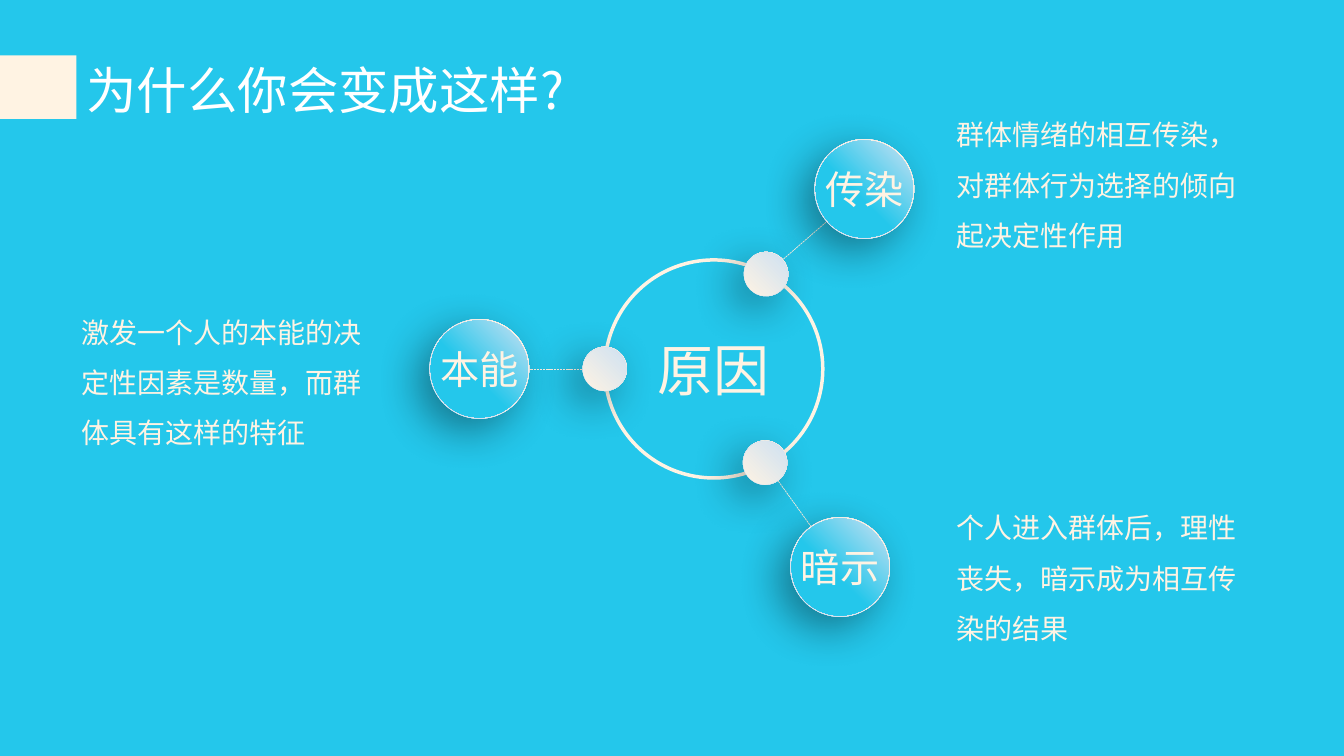
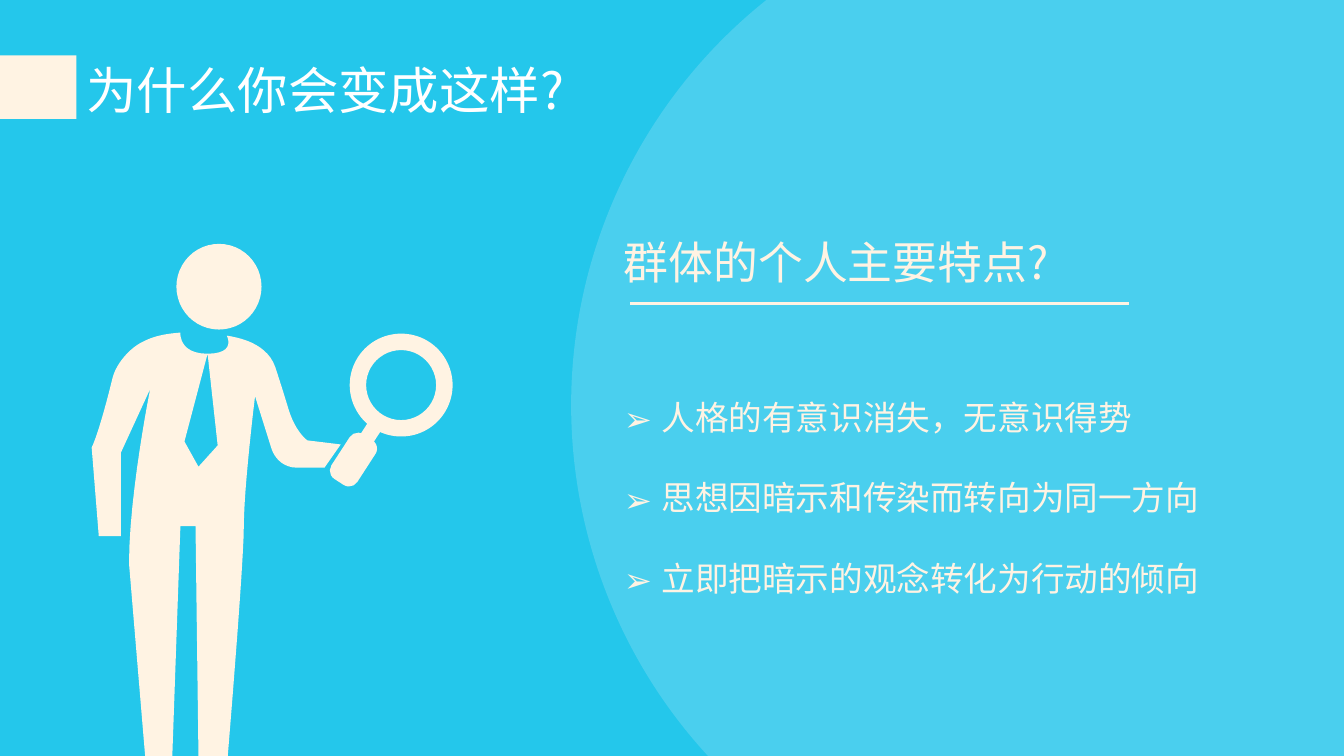
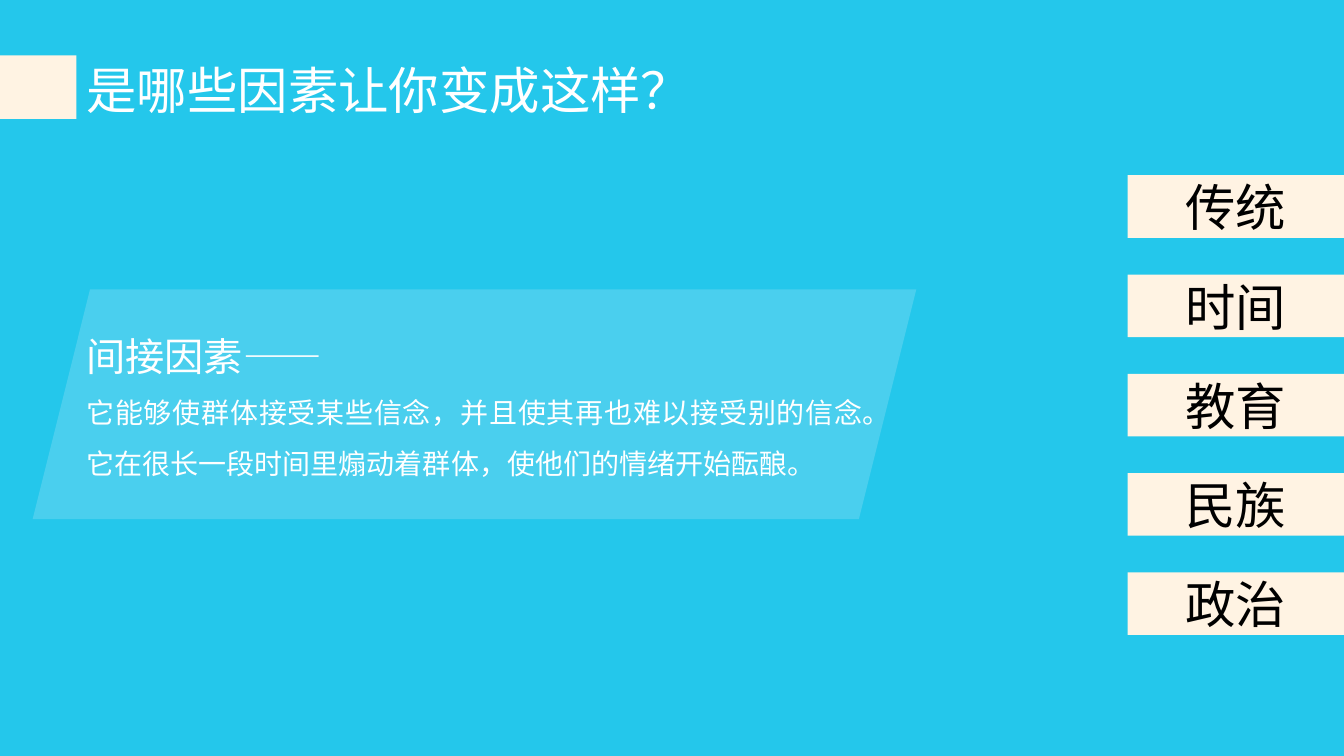
from lxml import etree
from pptx import Presentation
from pptx.dml.color import RGBColor
from pptx.enum.dml import MSO_LINE
from pptx.enum.shapes import MSO_CONNECTOR, MSO_SHAPE
from pptx.enum.text import MSO_ANCHOR, PP_ALIGN
from pptx.oxml import parse_xml
from pptx.oxml.ns import nsdecls, qn
from pptx.util import Pt

OVAL, RECT, DONUT = MSO_SHAPE.OVAL, MSO_SHAPE.RECTANGLE, MSO_SHAPE.DONUT
ROUNDED, SLANTED = MSO_SHAPE.ROUNDED_RECTANGLE, MSO_SHAPE.PARALLELOGRAM
STRAIGHT = MSO_CONNECTOR.STRAIGHT
DASHED, SOLID = MSO_LINE.SQUARE_DOT, MSO_LINE.SOLID
CENTER, JUSTIFY = PP_ALIGN.CENTER, PP_ALIGN.JUSTIFY
MIDDLE = MSO_ANCHOR.MIDDLE

FONT = "Noto Sans CJK SC"
COLORS = {
    "sky": "24C7EB", "pale": "4ACFEE", "cream": "FFF3E3", "mist": "CEE1F2",
    "white": "FFFFFF", "black": "000000",
}
COLOR = {name: RGBColor.from_string(value) for name, value in COLORS.items()}


def place(page, kind, box, fill=None):
    """Add a flat preset shape, or a text box when kind is None; box is in points."""
    lengths = [Pt(value) for value in box]
    if kind is None:
        return page.shapes.add_textbox(*lengths)
    shape = page.shapes.add_shape(kind, *lengths)
    shape.shadow.inherit = False
    shape.line.fill.background()
    if fill:
        shape.fill.solid()
        shape.fill.fore_color.rgb = COLOR[fill]
    else:
        shape.fill.background()
    return shape


def write(holder, lines, color, wrap=True, bullet=None, **formats):
    """Append (text, size) lines as paragraphs; formats are paragraph attributes."""
    frame = holder.text_frame
    frame.word_wrap = wrap
    for text, size in lines:
        para = frame.paragraphs[0]
        if para.runs:
            para = frame.add_paragraph()
        for name, value in formats.items():
            setattr(para, name, value)
        span = para.add_run()
        span.text = text
        span.font.size = Pt(size)
        span.font.color.rgb = COLOR[color]
        span.font.name = FONT
        etree.SubElement(span.font._element, qn("a:ea"), typeface=FONT)
        if bullet:
            properties = para._p.get_or_add_pPr()
            properties.set("marL", str(Pt(27)))
            properties.set("indent", str(-Pt(27)))
            etree.SubElement(properties, qn("a:buFont"), typeface=FONT)
            etree.SubElement(properties, qn("a:buChar"), char=bullet)
    return frame


deck = Presentation()
deck.slide_width, deck.slide_height = Pt(960), Pt(540)

# Shared background, title marker and title
pages = []
for title in ("为什么你会变成这样?", "为什么你会变成这样?", "是哪些因素让你变成这样？"):
    page = deck.slides.add_slide(deck.slide_layouts[6])
    page.background.fill.solid()
    page.background.fill.fore_color.rgb = COLOR["sky"]
    if len(pages) == 1:
        place(page, OVAL, (408, -80.6, 740, 740), "pale")
    place(page, RECT, (0, 39.5, 54.5, 45.5), "cream")
    write(place(page, None, (54.7, 39, 500, 51)), [(title, 36)], "white")
    pages.append(page)
reasons, traits, factors = pages

# Spokes of the diagram and the heading rule
satellites = [
    ("本能", (432, 263.5), (342.4, 263.5), (51, 209.5),
     "激发一个人的本能的决定性因素是数量，而群体具有这样的特征"),
    ("传染", (547.2, 195.8), (617.4, 135), (676, 68.5),
     "群体情绪的相互传染，对群体行为选择的倾向起决定性作用"),
    ("暗示", (546.5, 330.5), (600.1, 405), (676, 349.2),
     "个人进入群体后，理性丧失，暗示成为相互传染的结果"),
]
rules = [(reasons, knob, bubble, 0.5, DASHED) for _, knob, bubble, _, _ in satellites]
rules.append((traits, (450, 216.7), (806.4, 216.7), 1.75, SOLID))
for page, start, end, weight, dash in rules:
    rule = page.shapes.add_connector(STRAIGHT, *[Pt(value) for value in start + end])
    rule.line.color.rgb = COLOR["cream"]
    rule.line.width = Pt(weight)
    rule.line.dash_style = dash
    etree.SubElement(rule._element.spPr, qn("a:effectLst"))

# Slide 1: three causes around a ring
ring = place(reasons, OVAL, (432, 185.7, 155.7, 155.7))
ring.line.color.rgb = COLOR["cream"]
ring.line.width = Pt(2.5)
write(ring, [("原因", 40)], "cream", wrap=False, alignment=CENTER)

RIM_FOCUS = 'l="100000" t="0" r="0" b="100000"'
FACE_FOCUS = 'l="0" t="100000" r="100000" b="0"'
for label, knob, bubble, note_corner, note in satellites:
    for (x, y), size, face_size, face_color, face_stop in (
        (knob, 31.7, 31, "cream", 0),
        (bubble, 71.2, 69.2, "sky", 43000),
    ):
        for diameter, color, stop, focus in (
            (size, "cream", 0, RIM_FOCUS),
            (face_size, face_color, face_stop, FACE_FOCUS),
        ):
            disc = place(reasons, OVAL,
                         (x - diameter / 2, y - diameter / 2, diameter, diameter))
            gradient = parse_xml(
                f'<a:gradFill {nsdecls("a")} rotWithShape="1"><a:gsLst>'
                f'<a:gs pos="{stop}"><a:srgbClr val="{COLORS[color]}"/></a:gs>'
                f'<a:gs pos="100000"><a:srgbClr val="{COLORS["mist"]}"/></a:gs>'
                f'</a:gsLst><a:path path="circle"><a:fillToRect {focus}/></a:path>'
                '</a:gradFill>')
            properties = disc._element.spPr
            properties.replace(properties.find(qn("a:noFill")), gradient)
            if focus == RIM_FOCUS:
                properties.find(qn("a:effectLst")).append(parse_xml(
                    f'<a:outerShdw {nsdecls("a")} blurRad="{Pt(32)}" dist="{Pt(12)}" '
                    f'dir="8100000" algn="tr" rotWithShape="0">'
                    f'<a:srgbClr val="{COLORS["black"]}"><a:alpha val="40000"/></a:srgbClr>'
                    '</a:outerShdw>'))
    write(disc, [(label, 28)], "cream", wrap=False, alignment=CENTER)
    write(place(reasons, None, (*note_corner, 220.3, 112.3)), [(note, 20)], "cream",
          line_spacing=1.5)

# Slide 2: figure with a magnifier; one point is a line, three are a curve
body_start = (128.9, 237.6)
body_steps = [
    [(128.9, 237.6), (127.4, 252.7), (148.3, 252.7)],
    [(131.8, 315.4)], [(141.8, 333.4)], [(155.5, 318.2)], [(148.3, 252.7)],
    [(169.2, 252.7), (162, 239.8), (162, 239.8)],
    [(176.4, 241.9), (191.5, 247.7), (196.6, 262.1)],
    [(196.6, 262.1), (200.9, 275), (205.9, 291.6)],
    [(211, 308.9), (219.6, 314.6), (219.6, 314.6)],
    [(243.4, 317.5)], [(231.8, 334.1)], [(212.4, 334.1)],
    [(197.3, 334.1), (193.7, 319.7), (193.7, 319.7)],
    [(182.2, 283)],
    [(182.2, 283), (174.2, 348.5), (174.2, 375.8)],
    [(174.2, 402.5), (162.7, 540), (162.7, 540)],
    [(141.8, 540)], [(139.7, 375.8)], [(128.9, 375.8)], [(123.1, 540)],
    [(103.7, 540)], [(92.2, 402.5)],
    [(92.2, 352.8), (107.3, 277.9), (107.3, 277.9)],
    [(86.4, 323.3)], [(86.4, 383)], [(70.6, 383)], [(65.5, 319.7)],
    [(65.5, 319.7), (70.6, 310.3), (80.6, 269.3)],
    [(83.5, 259.2), (92.9, 248.4), (102.2, 244.1)],
    [(110.2, 239.8), (119.5, 238.3), (128.9, 237.6)],
]
CURVE_PARTS = 12
outline = [body_start]
for step in body_steps:
    if len(step) == 1:
        outline += step
        continue
    corners = [outline[-1], *step]
    for part in range(1, CURVE_PARTS + 1):
        t = part / CURVE_PARTS
        weights = ((1 - t) ** 3, 3 * t * (1 - t) ** 2, 3 * t * t * (1 - t), t ** 3)
        outline.append(tuple(
            sum(weight * corner[axis] for weight, corner in zip(weights, corners))
            for axis in (0, 1)))
points = [(Pt(x), Pt(y)) for x, y in outline]
builder = traits.shapes.build_freeform(*points[0])
builder.add_line_segments(points[1:], close=True)
body = builder.convert_to_shape()
body.shadow.inherit = False
body.fill.solid()
body.fill.fore_color.rgb = COLOR["cream"]
body.line.fill.background()

place(traits, OVAL, (126, 174.2, 60.8, 61.2), "cream")
lens = place(traits, DONUT, (249.8, 238.3, 73.5, 73.5), "cream")
lens.adjustments[0] = 0.16
neck = place(traits, RECT, (260.2, 301.3, 11, 12.4), "cream")
handle = place(traits, ROUNDED, (241.5, 309.3, 22, 38), "cream")
handle.adjustments[0] = 0.32
for part in (neck, handle):
    part.rotation = 33

trait_box = place(traits, None, (438.5, 144.7, 427.7, 288.7))
write(trait_box, [("群体的个人主要特点?", 32)], "cream",
      alignment=JUSTIFY, line_spacing=1.5, space_after=Pt(48.6))
write(trait_box, [
    ("人格的有意识消失，无意识得势", 24),
    ("思想因暗示和传染而转向为同一方向", 24),
    ("立即把暗示的观念转化为行动的倾向", 24),
], "cream", bullet="➢", alignment=JUSTIFY, line_spacing=2.0)

# Slide 3: indirect factors
place(factors, SLANTED, (23.3, 206.8, 631.2, 164), "pale")
write(place(factors, None, (54.7, 216.7, 568.8, 131)), [
    ("间接因素——", 28),
    ("它能够使群体接受某些信念，并且使其再也难以接受别的信念。"
     "它在很长一段时间里煽动着群体，使他们的情绪开始酝酿。", 20),
], "white", alignment=JUSTIFY, line_spacing=1.5)

for row, factor in enumerate(("传统", "时间", "教育", "民族", "政治")):
    tag = place(factors, RECT, (805.5, 125.2 + 70.9 * row, 154.5, 44.8), "cream")
    frame = write(tag, [(factor, 36)], "black", wrap=False, alignment=CENTER)
    frame.vertical_anchor = MIDDLE

deck.save("out.pptx")
